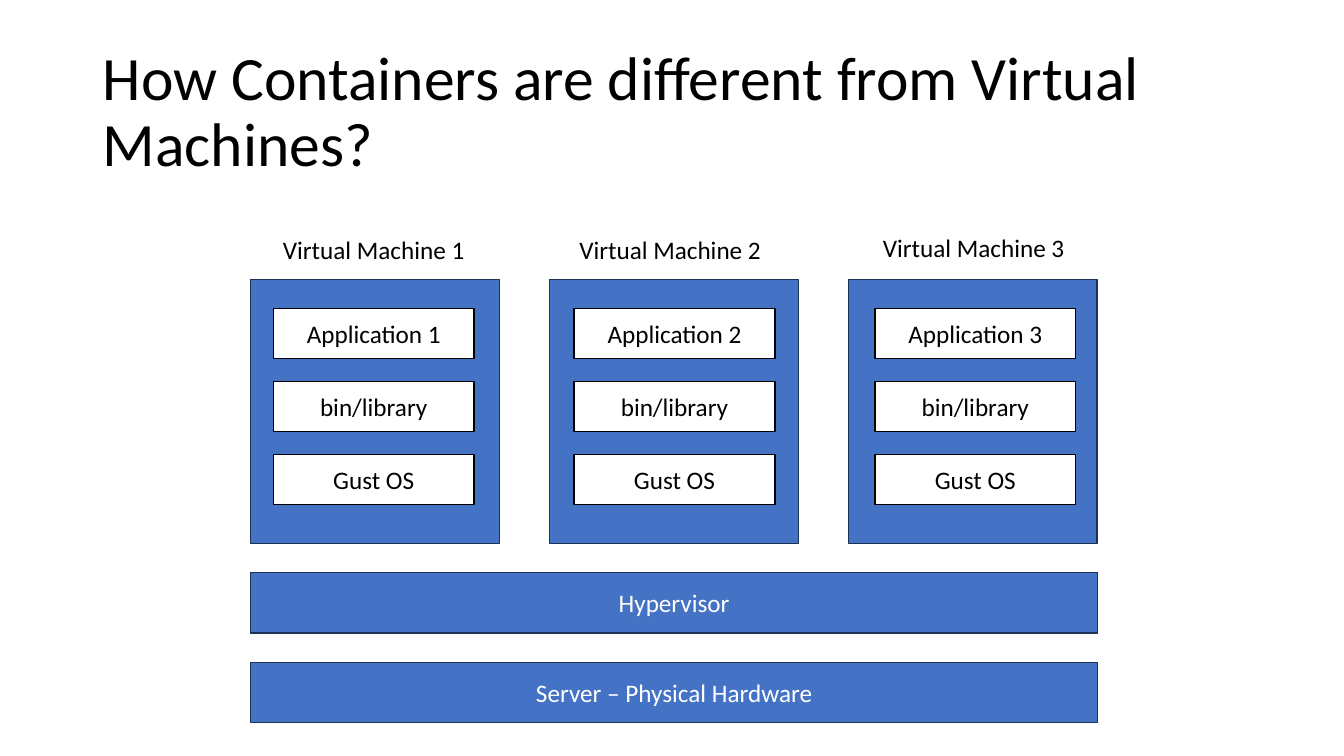
from pptx import Presentation
from pptx import util as u
from pptx.dml.color import RGBColor
from pptx.enum import shapes, text

BLUE = RGBColor(0x44, 0x72, 0xC4)
NAVY = RGBColor(0x1E, 0x32, 0x56)
WHITE = RGBColor(0xFF, 0xFF, 0xFF)
BLACK = RGBColor(0x00, 0x00, 0x00)


class Diagram:
    font = "Calibri"
    body_size = 18
    title_size = 44

    def __init__(self, slide):
        self.s = slide

    def _write(self, tf, words, size, color):
        p = tf.paragraphs[0]
        r = p.add_run()
        r.text = words
        r.font.name = self.font
        r.font.size = u.Pt(size)
        r.font.color.rgb = color
        return p

    def title(self, words, *box):
        tf = self.s.shapes.add_textbox(*map(u.Cm, box)).text_frame
        tf.word_wrap = True
        tf.vertical_anchor = text.MSO_ANCHOR.MIDDLE
        p = self._write(tf, words, self.title_size, BLACK)
        p.line_spacing = 0.9

    def label(self, words, *box):
        tf = self.s.shapes.add_textbox(*map(u.Cm, box)).text_frame
        tf.word_wrap = False
        tf.auto_size = text.MSO_AUTO_SIZE.SHAPE_TO_FIT_TEXT
        self._write(tf, words, self.body_size, BLACK)

    def box(self, words, *box, fill=BLUE, line=NAVY, color=WHITE):
        sp = self.s.shapes.add_shape(shapes.MSO_SHAPE.RECTANGLE, *map(u.Cm, box))
        sp.shadow.inherit = False
        sp.fill.solid()
        sp.fill.fore_color.rgb = fill
        sp.line.color.rgb = line
        sp.line.width = u.Pt(1)
        if words:
            tf = sp.text_frame
            tf.vertical_anchor = text.MSO_ANCHOR.MIDDLE
            p = self._write(tf, words, self.body_size, color)
            p.alignment = text.PP_ALIGN.CENTER

    def layer(self, words, *box):
        """Draw a white box that sits inside a virtual machine."""
        self.box(words, *box, fill=WHITE, line=BLACK, color=BLACK)


def main():
    prs = Presentation()
    prs.slide_width, prs.slide_height = u.Cm(33.87), u.Cm(19.05)
    d = Diagram(prs.slides.add_slide(prs.slide_layouts[6]))

    d.title("How Containers are different from Virtual Machines?",
            2.34, 1.02, 29.21, 3.68)

    left = 6.32
    for words, top in (("Server – Physical Hardware", 16.69), ("Hypervisor", 14.43)):
        d.box(words, left, top, 21.34, 1.52)

    label_spots = ((6.88, 5.79), (14.35, 5.77), (22.0, 5.72))
    for i, (label_left, label_top) in enumerate(label_spots):
        d.box("", left + i * 7.53, 7.04, 6.27, 6.65)
        for row, words in enumerate((f"Application {i + 1}", "bin/library", "Gust OS")):
            d.layer(words, 6.89 + i * 7.58, 7.78 + row * 1.84, 5.06, 1.25)
        d.label(f"Virtual Machine {i + 1}", label_left, label_top, 5.16, 1.02)

    prs.save("out.pptx")


if __name__ == "__main__":
    main()
